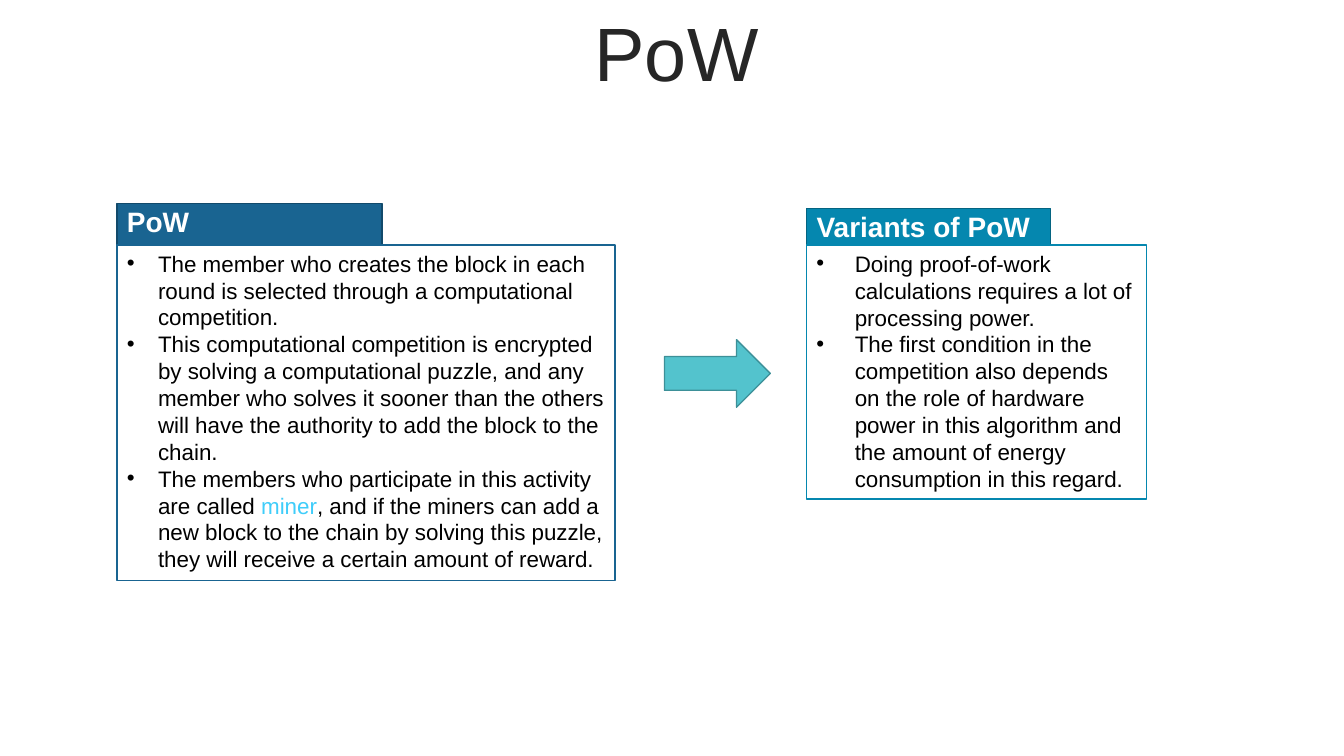
from lxml.etree import SubElement
from pptx import Presentation
from pptx.dml.color import RGBColor
from pptx.enum.shapes import MSO_SHAPE
from pptx.enum.text import MSO_ANCHOR, PP_ALIGN
from pptx.oxml.ns import qn
from pptx.util import Inches, Pt

POW_POINTS = [
    ["The member who creates the block in each round is selected through a computational competition."],
    ["This computational competition is encrypted by solving a computational puzzle, and any member "
     "who solves it sooner than the others will have the authority to add the block to the chain."],
    ["The members who participate in this activity are called ", "miner",
     ", and if the miners can add a new block to the chain by solving this puzzle, "
     "they will receive a certain amount of reward."],
]
VARIANT_POINTS = [
    ["Doing proof-of-work calculations requires a lot of processing power."],
    ["The first condition in the competition also depends on the role of hardware power in this "
     "algorithm and the amount of energy consumption in this regard."],
]
HIGHLIGHTS = {"miner": "3FCDFA"}


def color(value):
    return RGBColor.from_string(value)


def set_font(font, size, value, bold=False):
    font.name = "Arial"
    font.size = Pt(size)
    font.bold = bold
    font.color.rgb = color(value)


def add_box(page, kind, left, top, width, height, fill, line):
    box = page.shapes.add_shape(kind, Inches(left), Inches(top), Inches(width), Inches(height))
    box.shadow.inherit = False
    box.fill.solid()
    box.fill.fore_color.rgb = color(fill)
    box.line.color.rgb = color(line)
    box.line.width = Pt(1)
    box.text_frame.word_wrap = True
    return box


def add_title(page, text, left, top, width, height):
    title = page.shapes.title
    title.left, title.top = Inches(left), Inches(top)
    title.width, title.height = Inches(width), Inches(height)
    frame = title.text_frame
    frame.text = text
    frame.vertical_anchor = MSO_ANCHOR.MIDDLE
    para = frame.paragraphs[0]
    para.alignment = PP_ALIGN.CENTER
    para.line_spacing = 0.9
    set_font(para.font, 54, "262626")


def add_bullet(para, indent):
    properties = para._p.get_or_add_pPr()
    properties.set("marL", str(Inches(indent)))
    properties.set("indent", str(-Inches(indent)))
    SubElement(properties, qn("a:buFont"), typeface="Arial")
    SubElement(properties, qn("a:buChar"), char="•")


def add_tab(page, text, left, top, width, height, fill, line, anchor, spacing):
    tab = add_box(page, MSO_SHAPE.RECTANGLE, left, top, width, height, fill, line)
    tab.text_frame.vertical_anchor = anchor
    tab.text_frame.text = text
    para = tab.text_frame.paragraphs[0]
    para.alignment = PP_ALIGN.LEFT
    para.line_spacing = spacing
    set_font(para.font, 20, "FFFFFF", True)


def add_points(page, points, left, top, width, height, line, indent):
    box = add_box(page, MSO_SHAPE.RECTANGLE, left, top, width, height, "FFFFFF", line)
    frame = box.text_frame
    frame.vertical_anchor = MSO_ANCHOR.TOP
    for index, pieces in enumerate(points):
        para = frame.paragraphs[0] if index == 0 else frame.add_paragraph()
        para.alignment = PP_ALIGN.LEFT
        add_bullet(para, indent)
        set_font(para.font, 16, "000000")
        for piece in pieces:
            span = para.add_run()
            span.text = piece
            set_font(span.font, 16, HIGHLIGHTS.get(piece, "000000"))


def main():
    deck = Presentation()
    deck.slide_width, deck.slide_height = Inches(13.33), Inches(7.5)
    page = deck.slides.add_slide(deck.slide_layouts[5])
    add_title(page, "PoW", 0.38, 0.17, 12.66, 0.79)
    add_tab(page, "Variants of PoW", 8, 2.07, 2.42, 0.36, "0587AF", "046481", MSO_ANCHOR.MIDDLE, 1.0)
    add_tab(page, "PoW", 1.16, 2.02, 2.63, 0.41, "196491", "124A6B", MSO_ANCHOR.TOP, 0.9)
    add_points(page, POW_POINTS, 1.16, 2.43, 4.94, 3.33, "196491", 0.31)
    add_points(page, VARIANT_POINTS, 8, 2.43, 3.37, 2.52, "0587AF", 0.38)
    add_box(page, MSO_SHAPE.RIGHT_ARROW, 6.59, 3.37, 1.05, 0.67, "53C3CD", "3D9098")
    deck.save("out.pptx")


if __name__ == "__main__":
    main()
